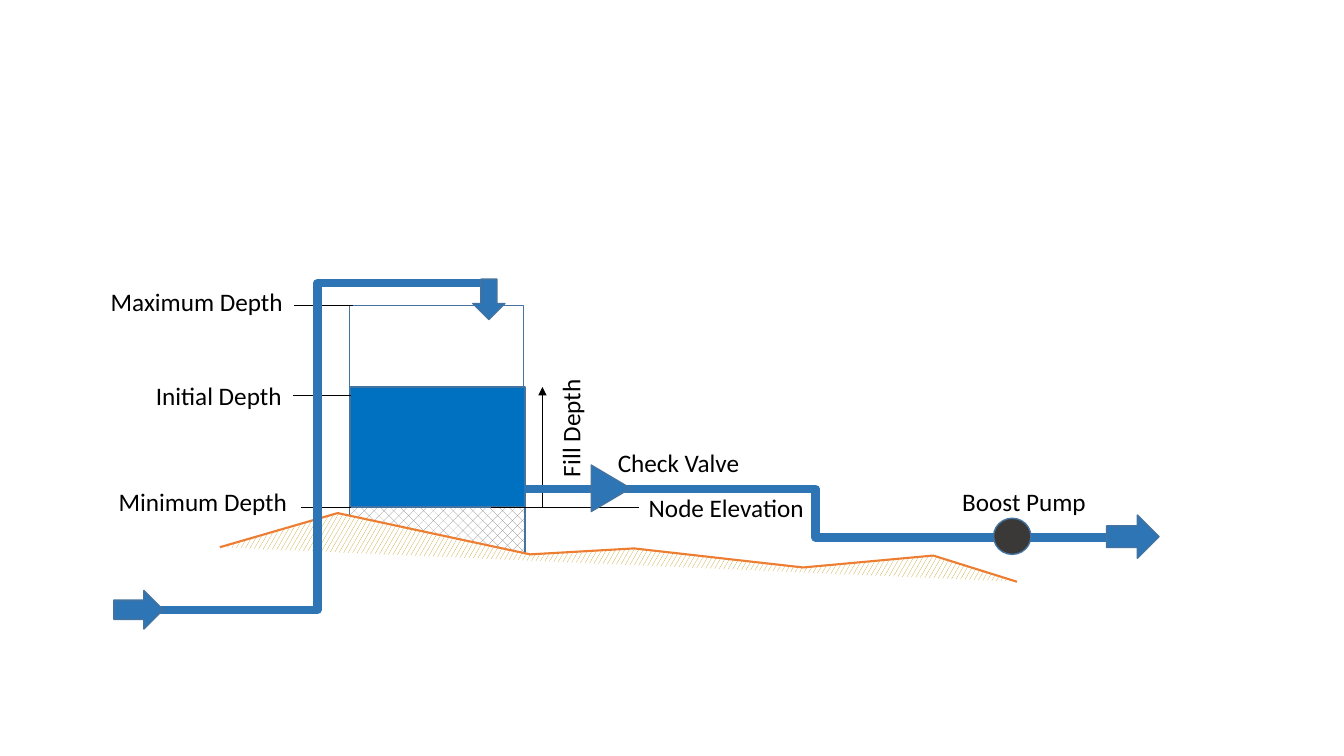
"""Build a slide showing a storage tank with its inlet, check valve and boost pump."""
import pptx
import pptx.dml.color
import pptx.enum.dml
import pptx.enum.shapes
import pptx.enum.text
import pptx.oxml
import pptx.oxml.ns
import pptx.util
from pptx.util import Cm

BLACK = pptx.dml.color.RGBColor(0x00, 0x00, 0x00)
WHITE = pptx.dml.color.RGBColor(0xFF, 0xFF, 0xFF)
GREY = pptx.dml.color.RGBColor(0x80, 0x80, 0x80)
OUTLINE = pptx.dml.color.RGBColor(0x43, 0x73, 0x9E)
PIPE = pptx.dml.color.RGBColor(0x2E, 0x75, 0xB6)
WATER = pptx.dml.color.RGBColor(0x00, 0x70, 0xC0)
PUMP = pptx.dml.color.RGBColor(0x3B, 0x38, 0x38)
GROUND = pptx.dml.color.RGBColor(0xED, 0x7D, 0x31)
SOIL = pptx.dml.color.RGBColor(0xBF, 0x90, 0x00)

FORM = pptx.enum.shapes.MSO_SHAPE
LINK = pptx.enum.shapes.MSO_CONNECTOR
PATTERN = pptx.enum.dml.MSO_PATTERN

MAXIMUM, INITIAL, SURFACE, MINIMUM = 7.7, 9.96, 9.75, 12.78
LABEL_HEIGHT = 1.02


def set_outline(item, color, width):
    """Give a shape or connector a plain line."""
    item.line.color.rgb = color
    item.line.width = pptx.util.Pt(width)


def set_pattern(shape, pattern, color):
    """Fill a shape with a pattern on white."""
    shape.fill.patterned()
    shape.fill.pattern = pattern
    shape.fill.fore_color.rgb = color
    shape.fill.back_color.rgb = WHITE


def add_part(page, form, left, top, width, height, color=None, turn=0):
    """Add an outlined preset shape, unfilled when no colour is given."""
    part = page.shapes.add_shape(form, Cm(left), Cm(top), Cm(width), Cm(height))
    part.shadow.inherit = False
    part.rotation = turn
    if color is None:
        part.fill.background()
    else:
        part.fill.solid()
        part.fill.fore_color.rgb = color
    set_outline(part, OUTLINE, 1)
    return part


def add_ground(page, points):
    """Add the ground profile as an open outline."""
    corners = [(Cm(x), Cm(y)) for x, y in points]
    builder = page.shapes.build_freeform(*corners[0], scale=1.0)
    builder.add_line_segments(corners[1:], close=False)
    ground = builder.convert_to_shape()
    ground.shadow.inherit = False
    set_pattern(ground, PATTERN.LARGE_CONFETTI, SOIL)
    set_outline(ground, GROUND, 1.5)


def add_line(page, start, end, color=BLACK, width=0.5, kind=LINK.STRAIGHT, arrow=False):
    """Add a connector, with an arrowhead at its end on request."""
    line = page.shapes.add_connector(kind, *map(Cm, start + end))
    set_outline(line, color, width)
    if arrow:
        head = pptx.oxml.parse_xml(
            f'<a:tailEnd {pptx.oxml.ns.nsdecls("a")} type="triangle"/>')
        line.line._get_or_add_ln().append(head)
    effects = pptx.oxml.parse_xml(f'<a:effectLst {pptx.oxml.ns.nsdecls("a")}/>')
    line._element.spPr.append(effects)


def add_label(page, text, left, top, width, turn=0):
    """Add a one-line label."""
    box = page.shapes.add_textbox(Cm(left), Cm(top), Cm(width), Cm(LABEL_HEIGHT))
    box.rotation = turn
    box.text_frame.word_wrap = False
    box.text_frame.auto_size = pptx.enum.text.MSO_AUTO_SIZE.SHAPE_TO_FIT_TEXT
    span = box.text_frame.paragraphs[0].add_run()
    span.text = text
    span.font.name = "Calibri"
    span.font.size = pptx.util.Pt(18)
    span.font.color.rgb = BLACK


def add_tank(page):
    """Add the ground, the tank on its base and the water in it."""
    base = add_part(page, FORM.RECTANGLE, 8.81, 12.75, 4.42, 1.17)
    set_pattern(base, PATTERN.PERCENT_30, GREY)
    add_ground(page, [(5.54, 13.79), (8.51, 12.93), (13.36, 13.97), (15.98, 13.82),
                      (20.24, 14.3), (23.52, 14), (25.63, 14.66)])
    add_part(page, FORM.RECTANGLE, 8.81, MAXIMUM, 4.39, MINIMUM - MAXIMUM)
    add_part(page, FORM.RECTANGLE, 8.84, SURFACE, 4.39, MINIMUM - SURFACE, WATER)


def add_levels(page):
    """Add the depth markers and their labels."""
    add_line(page, (13.67, MINIMUM), (13.67, SURFACE), arrow=True)
    for left, right, level in [(12.37, 16.1, MINIMUM), (7.59, 8.84, MINIMUM),
                               (7.42, 8.89, MAXIMUM), (7.39, 8.84, INITIAL)]:
        add_line(page, (left, level), (right, level))
    add_label(page, "Fill Depth", 12.88, 10.26, 3, 270)
    add_label(page, "Node Elevation", 16.1, 12.29, 4.47)
    add_label(page, "Minimum Depth", 2.74, 12.14, 4.8)
    add_label(page, "Maximum Depth", 2.54, 7.09, 4.9)
    add_label(page, "Initial Depth", 3.68, 9.45, 3.73)


def add_pipework(page):
    """Add the pipes with their flow arrows, valve and pump."""
    for start, end in [((3.86, 15.37), (12.14, 7.14)), ((13.21, 12.32), (27.89, 13.54))]:
        add_line(page, start, end, PIPE, 6, LINK.ELBOW)
    add_part(page, FORM.RIGHT_ARROW, 11.81, 7.14, 1.02, 0.81, PIPE, 90)
    add_part(page, FORM.RIGHT_ARROW, 27.89, 12.98, 1.32, 1.09, PIPE)
    add_part(page, FORM.OVAL, 25.04, 13.06, 0.94, 0.91, PUMP)
    add_label(page, "Boost Pump", 24, 12.12, 3.66)
    add_part(page, FORM.ISOSCELES_TRIANGLE, 14.81, 11.81, 1.17, 0.99, PIPE, 90)
    add_label(page, "Check Valve", 15.32, 11.15, 3.61)
    add_part(page, FORM.RIGHT_ARROW, 2.87, 14.88, 1.24, 0.97, PIPE)


def main():
    """Build and save the deck."""
    deck = pptx.Presentation()
    deck.slide_width, deck.slide_height = Cm(33.87), Cm(19.05)
    page = deck.slides.add_slide(deck.slide_layouts[6])
    add_tank(page)
    add_levels(page)
    add_pipework(page)
    deck.save("out.pptx")


if __name__ == "__main__":
    main()
